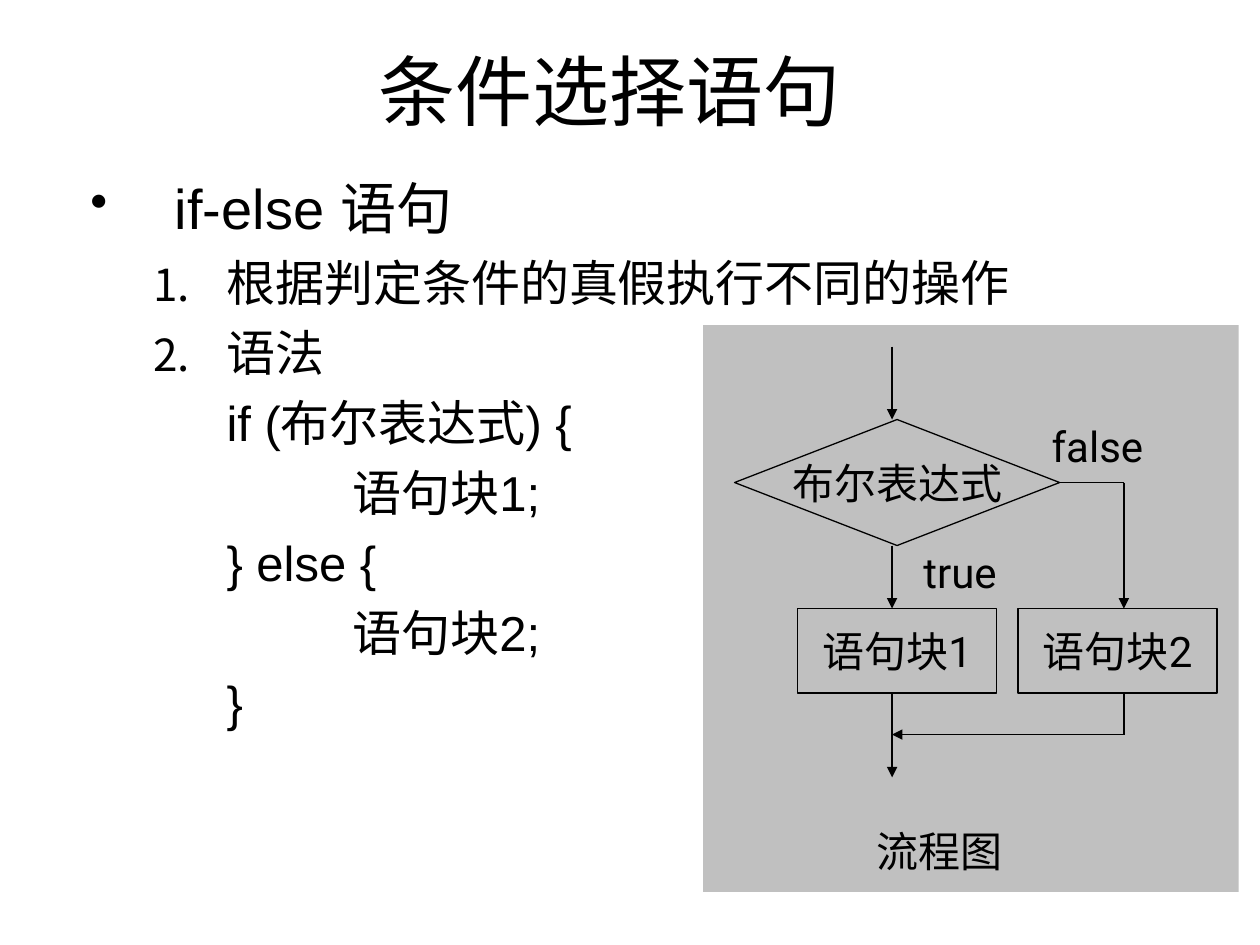
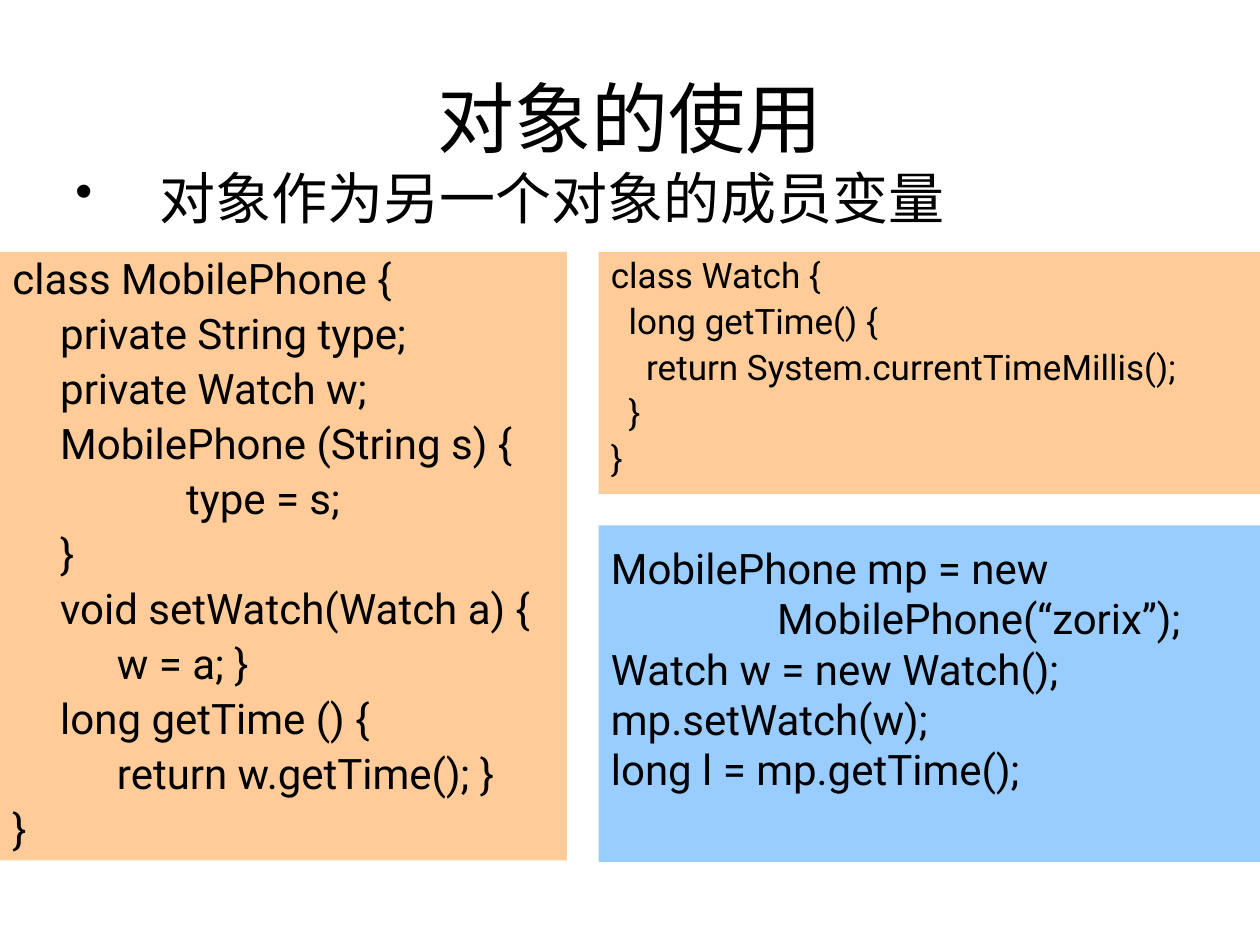
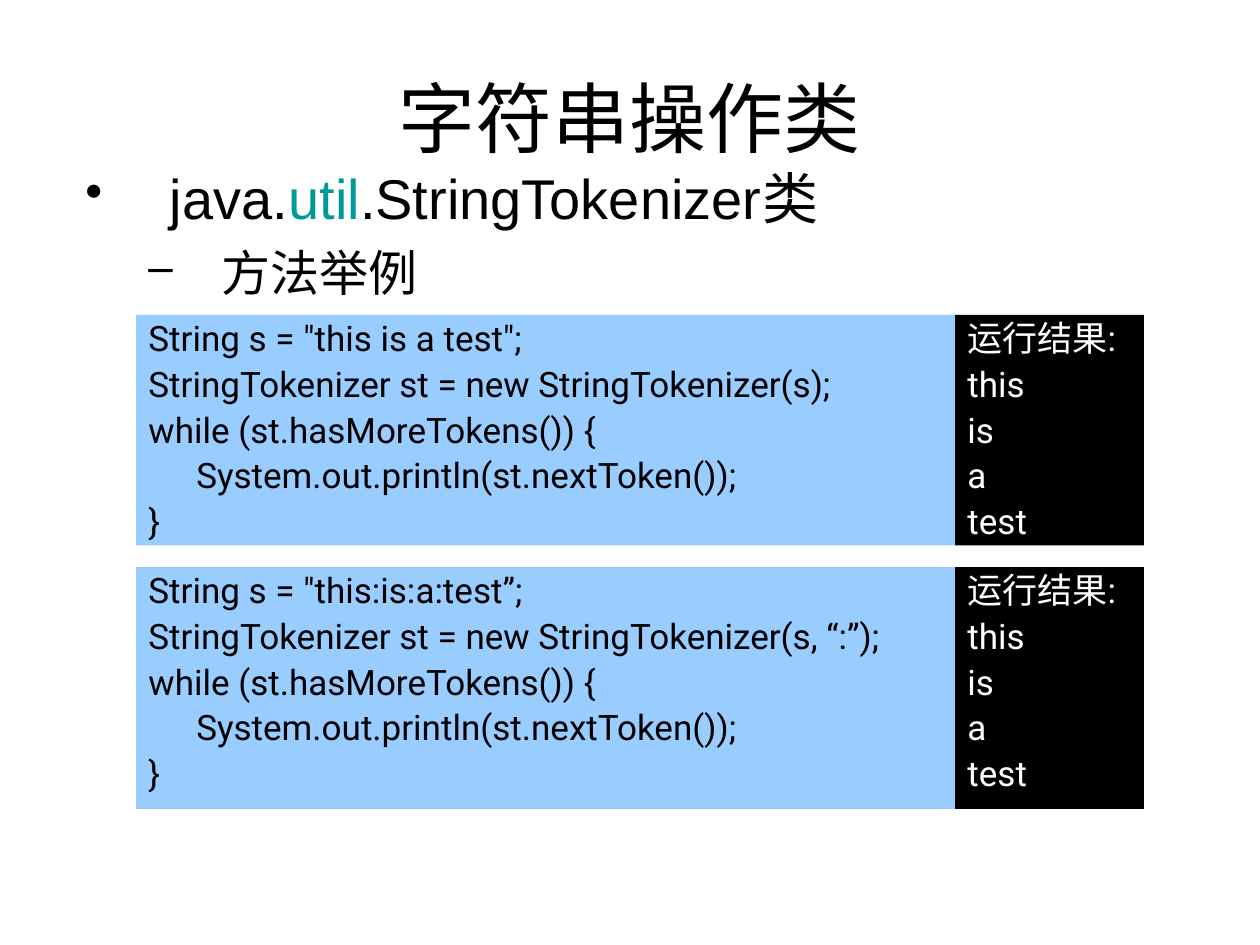
from lxml.etree import SubElement
from pptx import Presentation
from pptx.dml.color import RGBColor
from pptx.enum.shapes import MSO_CONNECTOR, MSO_SHAPE
from pptx.enum.text import MSO_ANCHOR, PP_ALIGN
from pptx.oxml.ns import qn
from pptx.util import Inches, Pt

BLACK = RGBColor(0x00, 0x00, 0x00)
WHITE = RGBColor(0xFF, 0xFF, 0xFF)
GREY = RGBColor(0xC0, 0xC0, 0xC0)
PEACH = RGBColor(0xFF, 0xCC, 0x99)
BLUE = RGBColor(0x99, 0xCC, 0xFF)
TEAL = RGBColor(0x00, 0x99, 0x99)

SERIF_FREE = "Arial"
CODE = "Roboto"
GAP = 0.23
TITLE = {"size": Pt(44), "name": SERIF_FREE}
LABEL = {"size": Pt(24), "name": CODE}
LEVELS = [
    {"size": 32, "left": 0.67, "hang": 0.67},
    {"size": 28, "left": 1.08, "hang": 0.58},
]
TIGHT = {"line_spacing": 0.9, "alignment": PP_ALIGN.LEFT}
TOP = {"word_wrap": True, "vertical_anchor": MSO_ANCHOR.TOP}
MIDDLE = {"word_wrap": True, "vertical_anchor": MSO_ANCHOR.MIDDLE}
LOOSE = {"word_wrap": False, "vertical_anchor": MSO_ANCHOR.MIDDLE}


def apply(item, form):
    for key, value in form.items():
        setattr(item, key, value)


def add_run(para, text, font, color=BLACK):
    run = para.add_run()
    run.text = text
    apply(run.font, font)
    run.font.color.rgb = color


def indent(para, left, hang=0):
    props = para._p.get_or_add_pPr()
    props.set("marL", str(Inches(left)))
    props.set("indent", str(-Inches(hang)))
    return props


def mark_para(props, mark):
    SubElement(props, qn("a:buSzPct"), val="90000")
    if mark == "1.":
        SubElement(props, qn("a:buAutoNum"), type="arabicPeriod")
    else:
        SubElement(props, qn("a:buChar"), char=mark)


def each_para(frame, rows):
    for index, row in enumerate(rows):
        yield frame.paragraphs[0] if index == 0 else frame.add_paragraph(), row


def text_box(slide, box, form):
    frame = slide.shapes.add_textbox(*map(Inches, box)).text_frame
    apply(frame, form)
    return frame


def add_shape(slide, kind, box, fill=None, line=None):
    shape = slide.shapes.add_shape(kind, *map(Inches, box))
    shape.shadow.inherit = False
    if fill is None:
        shape.fill.background()
    else:
        shape.fill.solid()
        shape.fill.fore_color.rgb = fill
    if line is None:
        shape.line.fill.background()
    else:
        shape.line.color.rgb = line
        shape.line.width = Pt(0.75)
    return shape


def add_label(frame, text, font=LABEL):
    para = frame.paragraphs[0]
    para.alignment = PP_ALIGN.CENTER
    add_run(para, text, font)


def add_title(slide, text, box=(0.5, 0.3, 9, 1.25)):
    add_label(text_box(slide, box, MIDDLE), text, TITLE)


def add_body(slide, box, rows):
    frame = text_box(slide, box, TOP)
    for para, (level, mark, extra, runs) in each_para(frame, rows):
        look = LEVELS[level]
        para.space_before = Pt(look["size"] * GAP)
        hang = look["hang"] if mark else 0
        props = indent(para, look["left"] + extra, hang)
        if mark:
            mark_para(props, mark)
        font = {"size": Pt(look["size"]), "name": SERIF_FREE}
        for text, color in runs:
            add_run(para, text, font, color)


def add_code(slide, box, fill, rows, size=20, color=BLACK, form=TOP, style=TIGHT, gap=GAP):
    frame = add_shape(slide, MSO_SHAPE.RECTANGLE, box, fill).text_frame
    apply(frame, form)
    font = {"size": Pt(size), "name": CODE}
    for para, (left, text) in each_para(frame, rows):
        apply(para, {**style, "space_before": Pt(size * gap)})
        indent(para, left)
        add_run(para, text, font, color)


def add_line(slide, start, end, head=True):
    line = slide.shapes.add_connector(
        MSO_CONNECTOR.STRAIGHT, *map(Inches, (*start, *end)))
    line.line.color.rgb = BLACK
    line.line.width = Pt(0.75)
    if head:
        SubElement(line.line._get_or_add_ln(), qn("a:tailEnd"), type="triangle")
    SubElement(line._element.spPr, qn("a:effectLst"))
    return line


def add_flow(slide, box):
    x, y, wide, high = box
    main, side = x + 1.5, x + 3.34
    add_shape(slide, MSO_SHAPE.RECTANGLE, box, GREY)
    test = add_shape(slide, MSO_SHAPE.DIAMOND, (x + 0.25, y + 0.75, 2.58, 1), line=BLACK)
    frames = [(test.text_frame, "布尔表达式")]
    for left, text in ((0.75, "语句块1"), (2.5, "语句块2")):
        block = add_shape(slide, MSO_SHAPE.RECTANGLE,
                          (x + left, y + 2.25, 1.58, 0.67), line=BLACK)
        frames.append((block.text_frame, text))
    for left, top, width, height, text in (
        (2.59, 0.75, 1.08, 0.42, "false"),
        (1.5, 1.75, 1.08, 0.42, "true"),
        (0.92, 3.92, 1.92, 0.5, "流程图"),
    ):
        frame = text_box(slide, (x + left, y + top, width, height), LOOSE)
        frames.append((frame, text))
    for frame, text in frames:
        apply(frame, LOOSE)
        add_label(frame, text)
    for across, top, low, head in (
        (main, 0.17, 0.75, True),
        (main, 1.75, 2.25, True),
        (main, 2.92, 3.59, True),
        (side, 1.25, 2.25, True),
        (side, 2.92, 3.25, False),
    ):
        add_line(slide, (across, y + top), (across, y + low), head)
    add_line(slide, (side, y + 3.25), (main, y + 3.25))
    branch = add_line(slide, (x + 2.83, y + 1.25), (side, y + 1.25), False)
    branch.begin_connect(test, 3)


def branch_slide(slide):
    add_title(slide, "条件选择语句", (0.58, 0.25, 8.52, 0.92))
    rows = [
        (0, "•", 0, "if-else 语句"),
        (1, "1.", 0, "根据判定条件的真假执行不同的操作"),
        (1, "1.", 0, "语法"),
        (1, None, 0, "if (布尔表达式) {"),
        (1, None, 1, "语句块1;"),
        (1, None, 0, "} else {"),
        (1, None, 1, "语句块2;"),
        (1, None, 0, "}"),
    ]
    add_body(slide, (0.62, 1.33, 9.13, 5.92),
             [(*row, [(text, BLACK)]) for *row, text in rows])
    add_flow(slide, (5.58, 2.58, 4.25, 4.5))


def object_slide(slide):
    add_title(slide, "对象的使用")
    add_body(slide, (0.5, 1.25, 9.25, 0.83),
             [(0, "•", 0, [("对象作为另一个对象的成员变量", BLACK)])])
    add_code(slide, (0, 2, 4.5, 4.83), PEACH, [
        (0, "class MobilePhone {"),
        (0.38, "private String type;"),
        (0.38, "private Watch w;"),
        (0.38, "MobilePhone (String s) {"),
        (1.38, "type = s;"),
        (0.38, "}"),
        (0.38, "void setWatch(Watch a) {"),
        (0.83, "w = a; }"),
        (0.38, "long getTime () {"),
        (0.83, "return w.getTime(); }"),
        (0, "}"),
    ], size=24)
    add_code(slide, (4.75, 2, 5.25, 1.92), PEACH, [
        (0, "class Watch {"),
        (0.14, "long getTime() {"),
        (0.28, "return System.currentTimeMillis();"),
        (0.14, "}"),
        (0, "}"),
    ])
    add_code(slide, (4.75, 4.17, 5.25, 2.67), BLUE, [
        (0, "MobilePhone mp = new"),
        (1.32, "MobilePhone(“zorix”);"),
        (0, "Watch w = new Watch();"),
        (0, "mp.setWatch(w);"),
        (0, "long l = mp.getTime();"),
    ], size=24, form={**MIDDLE, "margin_bottom": Inches(0.45)},
        style={"alignment": PP_ALIGN.LEFT}, gap=0)


def add_demo(slide, box, first, call):
    x, y, wide, high = box
    split = 6.5
    add_code(slide, (x, y, split, high), BLUE, [
        (0, first),
        (0, f"StringTokenizer st = new StringTokenizer({call});"),
        (0, "while (st.hasMoreTokens()) {"),
        (0.38, "System.out.println(st.nextToken());"),
        (0, "}"),
    ])
    words = ("运行结果:", "this", "is", "a", "test")
    add_code(slide, (x + split, y, wide - split, high), BLACK,
             [(0, word) for word in words], color=WHITE)


def token_slide(slide):
    add_title(slide, "字符串操作类")
    add_body(slide, (0.58, 1.25, 9.08, 1.25), [
        (0, "•", 0, [("java.", BLACK), ("util", TEAL), (".StringTokenizer类", BLACK)]),
        (1, "–", 0, [("方法举例", BLACK)]),
    ])
    add_demo(slide, (1.08, 2.5, 8, 1.83), 'String s = "this is a test";', "s")
    add_demo(slide, (1.08, 4.5, 8, 1.92), 'String s = "this:is:a:test”;', "s, “:”")


def main():
    deck = Presentation()
    apply(deck, {"slide_width": Inches(10), "slide_height": Inches(7.5)})
    for build in (branch_slide, object_slide, token_slide):
        build(deck.slides.add_slide(deck.slide_layouts[6]))
    deck.save("out.pptx")


if __name__ == "__main__":
    main()
